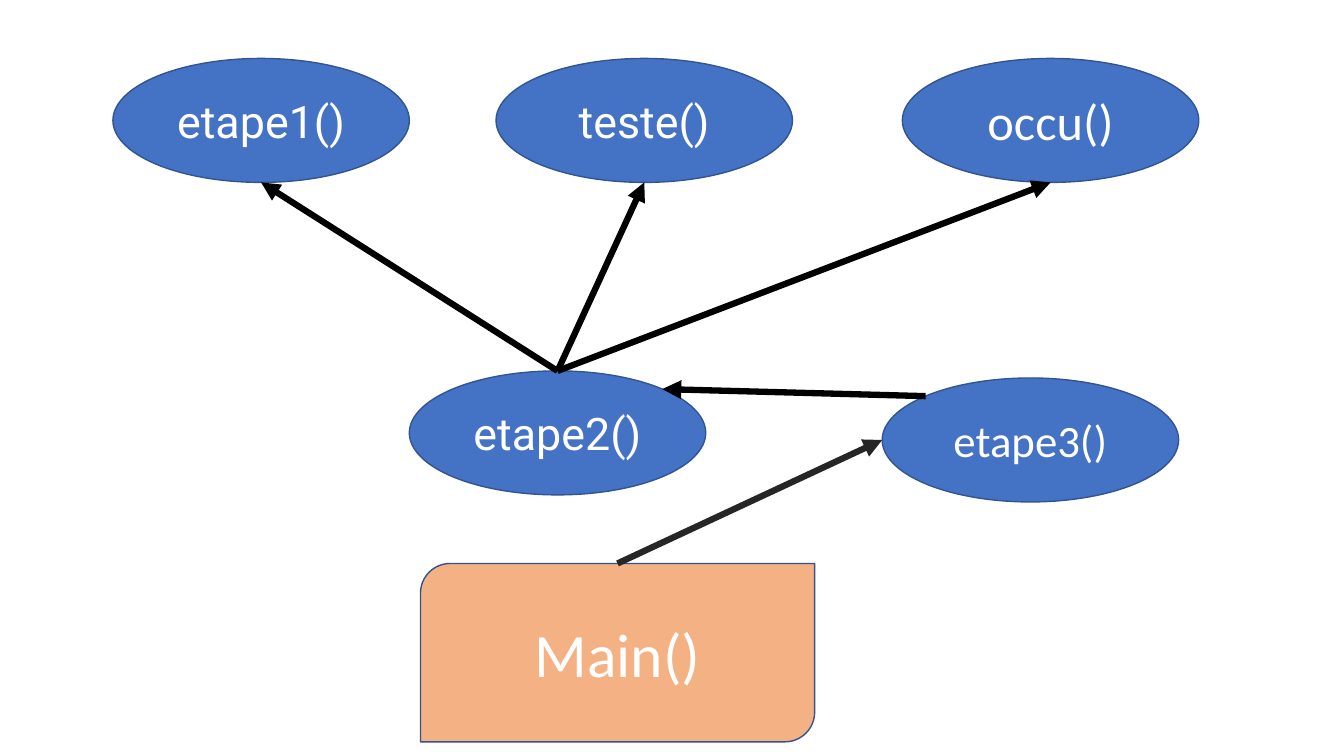
from pptx import Presentation
from pptx.dml.color import RGBColor
from pptx.enum.shapes import MSO_CONNECTOR, MSO_SHAPE
from pptx.enum.text import MSO_ANCHOR, PP_ALIGN
from pptx.oxml.ns import qn
from pptx.util import Inches, Pt
from lxml.etree import SubElement

COLORS = {"blue": "4472C4", "peach": "F4B183", "edge": "325491",
          "white": "FFFFFF", "black": "000000", "gray": "262626"}
OVAL = (2.94, 1.23)
MAIN = (3.91, 1.77)

# label: left, top, font, size
NODES = {
    "Main()": (4.17, 5.59, "Calibri", 44),
    "etape3()": (8.75, 3.75, "Calibri", 32),
    "etape2()": (4.06, 3.68, "Roboto", 32),
    "etape1()": (1.12, 0.58, "Roboto", 32),
    "teste()": (4.92, 0.58, "Roboto", 32),
    "occu()": (8.95, 0.58, "Calibri", 36),
}

# caller, site, callee, site, color
CALLS = [
    ("Main()", "top", "etape3()", "left", "gray"),
    ("etape3()", "top left", "etape2()", "top right", "black"),
    ("etape2()", "top", "etape1()", "bottom", "black"),
    ("etape2()", "top", "teste()", "bottom", "black"),
    ("etape2()", "top", "occu()", "bottom", "black"),
]

# Shares of a node's width and height; an oval's diagonal sites lie at 45 degrees
DIAG = (1 - 0.5 ** 0.5) / 2
SITES = {"top": (0.5, 0), "bottom": (0.5, 1), "left": (0, 0.5),
         "top left": (DIAG, DIAG), "top right": (1 - DIAG, DIAG)}


def color(name):
    """Look up a named color."""
    return RGBColor.from_string(COLORS[name])


def add_node(slide, label):
    """Draw one function with its label."""
    left, top, font, size = NODES[label]
    is_main = label == "Main()"
    kind = MSO_SHAPE.ROUND_2_DIAG_RECTANGLE if is_main else MSO_SHAPE.OVAL
    box = (left, top, *(MAIN if is_main else OVAL))
    node = slide.shapes.add_shape(kind, *map(Inches, box))
    node.shadow.inherit = False
    node.fill.solid()
    node.fill.fore_color.rgb = color("peach" if is_main else "blue")
    node.line.color.rgb = color("edge")
    node.line.width = Pt(1)
    frame = node.text_frame
    frame.text = label
    frame.vertical_anchor = MSO_ANCHOR.MIDDLE
    para = frame.paragraphs[0]
    para.alignment = PP_ALIGN.CENTER
    run = para.runs[0]
    run.font.name = font
    run.font.size = Pt(size)
    run.font.color.rgb = color("white")
    return node


def find_site(node, site):
    """Give the point of a named site on a node."""
    across, down = SITES[site]
    return (int(node.left + across * node.width),
            int(node.top + down * node.height))


def add_call(slide, start, end, shade):
    """Draw an arrow from caller to callee."""
    arrow = slide.shapes.add_connector(MSO_CONNECTOR.STRAIGHT, *start, *end)
    arrow.line.color.rgb = color(shade)
    arrow.line.width = Pt(4.5)
    line = arrow._element.spPr.find(qn("a:ln"))
    SubElement(line, qn("a:tailEnd"), type="triangle")
    SubElement(arrow._element.spPr, qn("a:effectLst"))


deck = Presentation()
deck.slide_width, deck.slide_height = Inches(13.33), Inches(7.5)
slide = deck.slides.add_slide(deck.slide_layouts[6])
nodes = {label: add_node(slide, label) for label in NODES}
for caller, exit_site, callee, entry, shade in CALLS:
    add_call(slide, find_site(nodes[caller], exit_site),
             find_site(nodes[callee], entry), shade)
deck.save("out.pptx")
